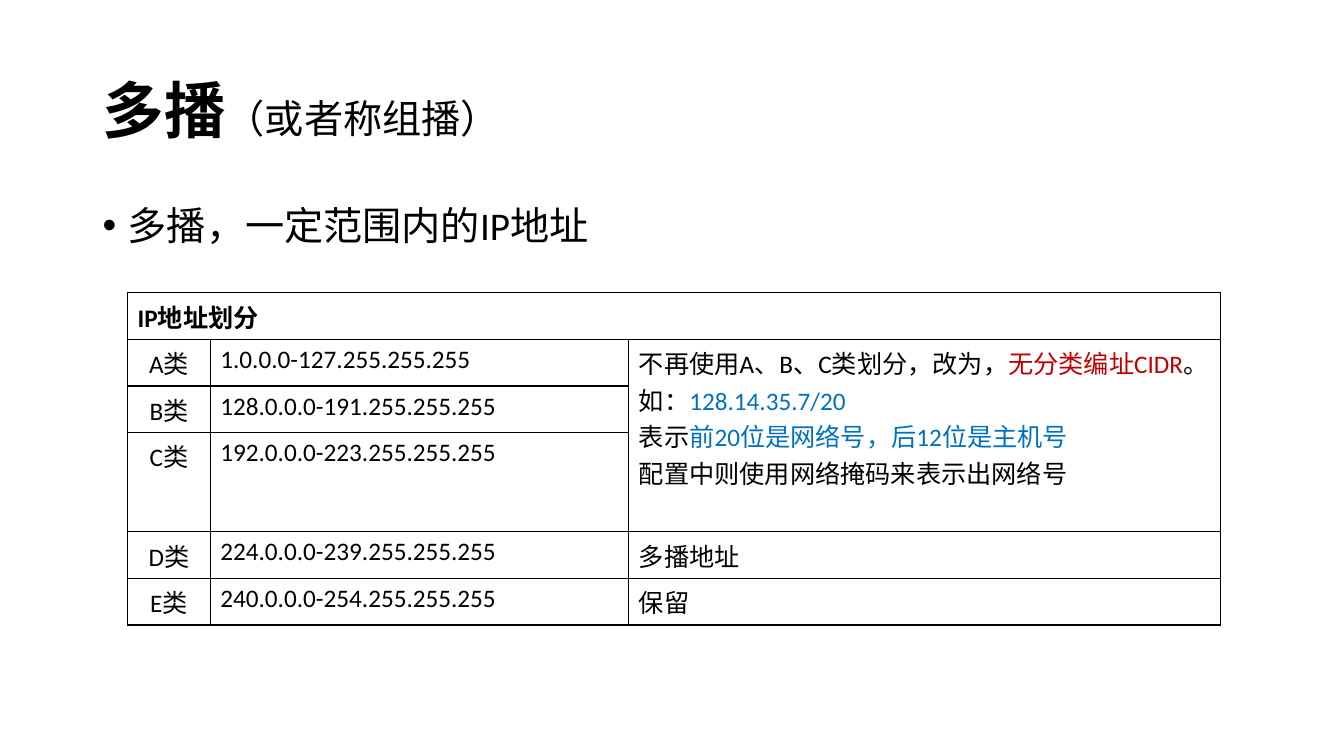
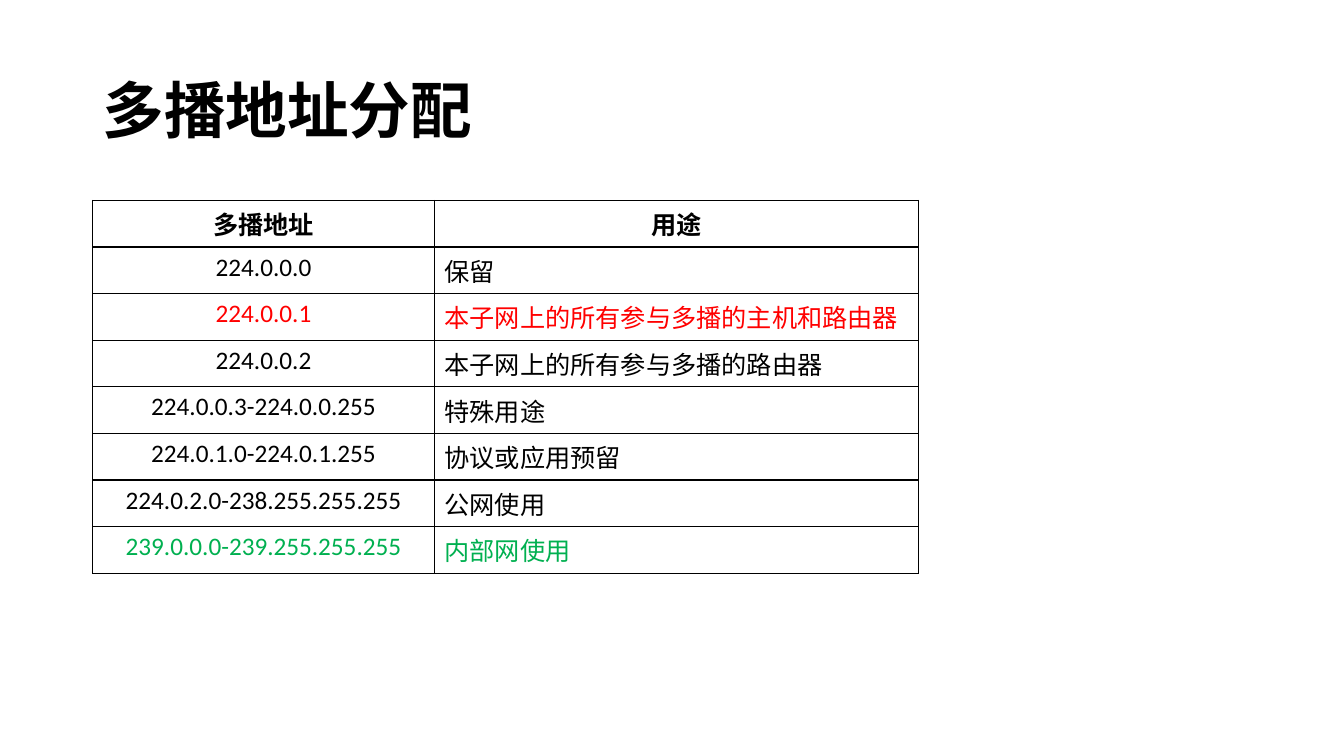
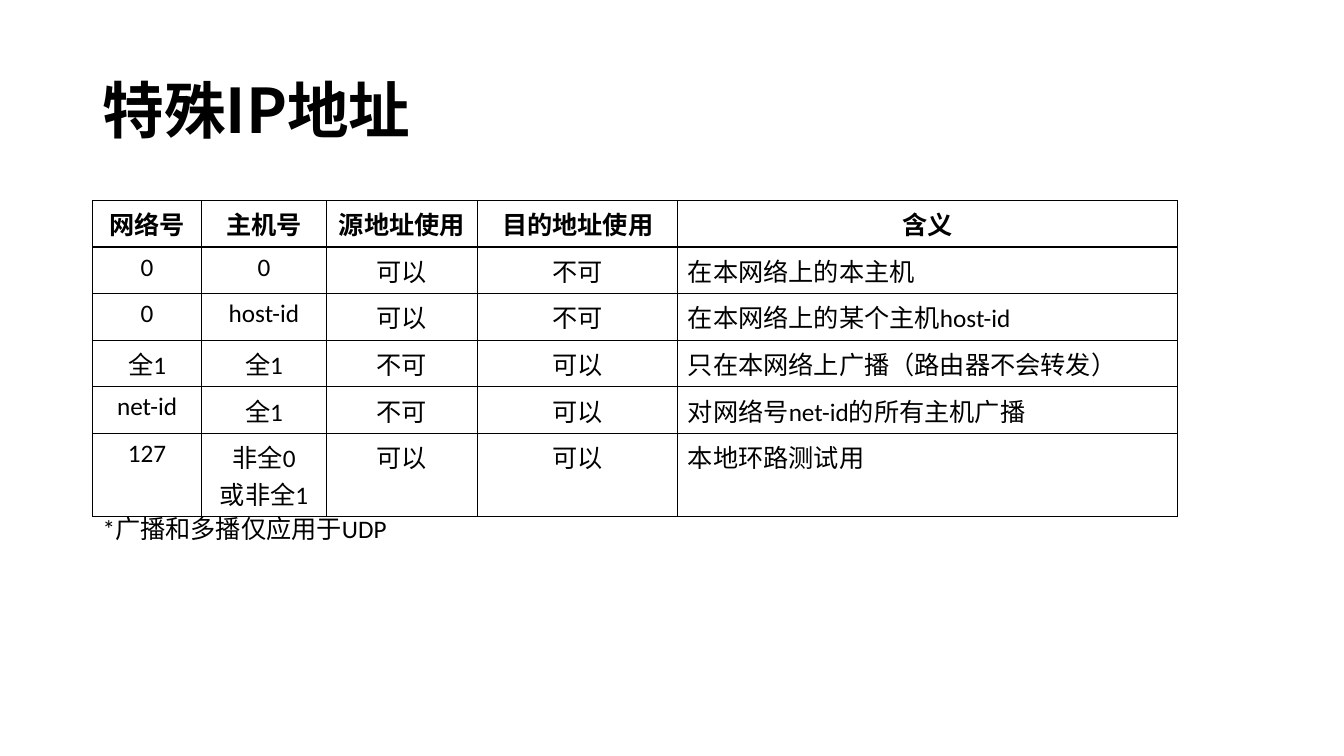
from lxml import etree
from pptx import Presentation
from pptx.dml.color import RGBColor
from pptx.enum.text import MSO_ANCHOR, MSO_AUTO_SIZE, PP_ALIGN
from pptx.oxml.ns import qn
from pptx.util import Pt

LEFT, CENTER = PP_ALIGN.LEFT, PP_ALIGN.CENTER
MIDDLE, GROW = MSO_ANCHOR.MIDDLE, MSO_AUTO_SIZE.SHAPE_TO_FIT_TEXT
BLACK = RGBColor(0x00, 0x00, 0x00)
DARK_RED = RGBColor(0xC0, 0x00, 0x00)
RED = RGBColor(0xFF, 0x00, 0x00)
BLUE = RGBColor(0x00, 0x70, 0xC0)
GREEN = RGBColor(0x00, 0xB0, 0x50)
LATIN, CJK = "Calibri", "Noto Sans CJK SC"
MARGIN, TABLE_TOP, ROW_HEIGHT = 66.2, 143.2, 33.3

BODY = {"name": LATIN, "size": Pt(18), "bold": False, "color": BLACK}
HEADER = {**BODY, "bold": True}
LARGE = {**BODY, "size": Pt(28)}
TITLE = {**BODY, "name": CJK, "size": Pt(44), "bold": True}
TIGHT = {"line_spacing": 0.9}

CLASS_ROWS = [
    ["IP地址划分", "", ""],
    ["A类", "1.0.0.0-127.255.255.255", [
        ["不再使用A、B、C类划分\uff0c改为\uff0c",
         ("无分类编址CIDR", {"color": DARK_RED}), "。"],
        ["如\uff1a", ("128.14.35.7/20", {"color": BLUE})],
        ["表示", ("前20位是网络号\uff0c后12位是主机号", {"color": BLUE})],
        ["配置中则使用网络掩码来表示出网络号"]]],
    ["B类", "128.0.0.0-191.255.255.255", ""],
    ["C类", "192.0.0.0-223.255.255.255", ""],
    ["D类", "224.0.0.0-239.255.255.255", "多播地址"],
    ["E类", "240.0.0.0-254.255.255.255", "保留"],
]
MULTICAST_ROWS = [
    ["多播地址", "用途"],
    ["224.0.0.0", "保留"],
    ["224.0.0.1", "本子网上的所有参与多播的主机和路由器"],
    ["224.0.0.2", "本子网上的所有参与多播的路由器"],
    ["224.0.0.3-224.0.0.255", "特殊用途"],
    ["224.0.1.0-224.0.1.255", "协议或应用预留"],
    ["224.0.2.0-238.255.255.255", "公网使用"],
    ["239.0.0.0-239.255.255.255", "内部网使用"],
]
SPECIAL_ROWS = [
    ["网络号", "主机号", "源地址使用", "目的地址使用", "含义"],
    ["0", "0", "可以", "不可", "在本网络上的本主机"],
    ["0", "host-id", "可以", "不可", "在本网络上的某个主机host-id"],
    ["全1", "全1", "不可", "可以", "只在本网络上广播\uff08路由器不会转发\uff09"],
    ["net-id", "全1", "不可", "可以", "对网络号net-id的所有主机广播"],
    ["127", [["非全0"], ["或非全1"]], "可以", "可以", "本地环路测试用"],
]


def add_run(p, text, fmt):
    """Append a run with Latin and East Asian fonts."""
    r = p.add_run()
    r.text = text
    for key, value in fmt.items():
        if key == "color":
            r.font.color.rgb = value
        else:
            setattr(r.font, key, value)
    ea = etree.Element(qn("a:ea"), typeface=CJK)
    r.font._element.find(qn("a:latin")).addnext(ea)


def write(tf, lines, fmt, para):
    """Fill a text frame; a run is a string or a (text, changes) pair."""
    for i, line in enumerate(lines):
        p = tf.add_paragraph() if i else tf.paragraphs[0]
        for key, value in para.items():
            setattr(p, key, value)
        for run in line:
            text, changes = (run, {}) if isinstance(run, str) else run
            add_run(p, text, {**fmt, **changes})


def add_text(s, box, runs, fmt, para, **frame):
    """Add a wrapping text box of one paragraph."""
    tf = s.shapes.add_textbox(*map(Pt, box)).text_frame
    for key, value in {"word_wrap": True, **frame}.items():
        setattr(tf, key, value)
    write(tf, [runs], fmt, para)
    return tf


def add_bullet(s, box, text):
    """Add a bulleted body paragraph."""
    tf = add_text(s, box, [text], LARGE, {**TIGHT, "space_before": Pt(10)})
    pPr = tf.paragraphs[0]._p.get_or_add_pPr()
    pPr.set("marL", str(Pt(18)))
    pPr.set("indent", str(Pt(-18)))
    etree.SubElement(pPr, qn("a:buFont"), typeface="Arial")
    etree.SubElement(pPr, qn("a:buChar"), char="•")


def add_borders(cell):
    """Draw thin black lines on all sides of a cell."""
    tcPr = cell._tc.get_or_add_tcPr()
    for side in ("lnL", "lnR", "lnT", "lnB"):
        ln = etree.SubElement(tcPr, qn(f"a:{side}"), w=str(Pt(1)))
        fill = etree.SubElement(ln, qn("a:solidFill"))
        etree.SubElement(fill, qn("a:srgbClr"), val=str(BLACK))


def add_grid(s, left, top, widths, rows, aligns, header_align=CENTER,
             row_colors=None, tall_rows=None, spans=()):
    """Add a plain bordered table with a bold first row."""
    heights = [(tall_rows or {}).get(i, ROW_HEIGHT) for i in range(len(rows))]
    box = (left, top, sum(widths), sum(heights))
    table = s.shapes.add_table(len(rows), len(widths), *map(Pt, box)).table
    table.first_row = table.horz_banding = False
    for column, width in zip(table.columns, widths):
        column.width = Pt(width)
    for i, row in enumerate(rows):
        table.rows[i].height = Pt(heights[i])
        fmt = {**(BODY if i else HEADER),
               "color": (row_colors or {}).get(i, BLACK)}
        for j, content in enumerate(row):
            cell = table.cell(i, j)
            add_borders(cell)
            cell.fill.background()
            lines = [[content]] if isinstance(content, str) else content
            if content:
                write(cell.text_frame, lines, fmt,
                      {"alignment": aligns[j] if i else header_align})
    for first, last in spans:
        table.cell(*first).merge(table.cell(*last))


def add_slide(prs, title, width=828):
    """Add a blank slide with the shared title."""
    s = prs.slides.add_slide(prs.slide_layouts[6])
    add_text(s, (MARGIN, 28.8, width, 104.4), title, TITLE, TIGHT,
             vertical_anchor=MIDDLE)
    return s


def main():
    """Build the three slides."""
    prs = Presentation()
    prs.slide_width, prs.slide_height = Pt(960), Pt(540)

    s = add_slide(prs, ["多播", ("\uff08或者称组播\uff09", LARGE)])
    add_bullet(s, (MARGIN, 144, 828, 342.7), "多播\uff0c一定范围内的IP地址")
    add_grid(s, 91.2, 209.2, [59, 299, 422.5], CLASS_ROWS,
             [CENTER, LEFT, LEFT], header_align=LEFT, tall_rows={3: 70.8},
             spans=[((0, 0), (0, 2)), ((1, 2), (3, 2))])

    s = add_slide(prs, ["多播地址分配"])
    add_grid(s, MARGIN, TABLE_TOP, [244.2, 345.8], MULTICAST_ROWS,
             [CENTER, LEFT], row_colors={2: RED, 7: GREEN})

    s = add_slide(prs, ["特殊IP地址"], width=302.4)
    add_grid(s, MARGIN, TABLE_TOP, [77.8, 89.2, 107.9, 143.2, 357],
             SPECIAL_ROWS, [CENTER] * 4 + [LEFT], tall_rows={5: 59.2})
    add_text(s, (MARGIN, 362.8, 221.8, 28.8), ["*广播和多播仅应用于UDP"],
             BODY, {}, auto_size=GROW)

    prs.save("out.pptx")


main()
